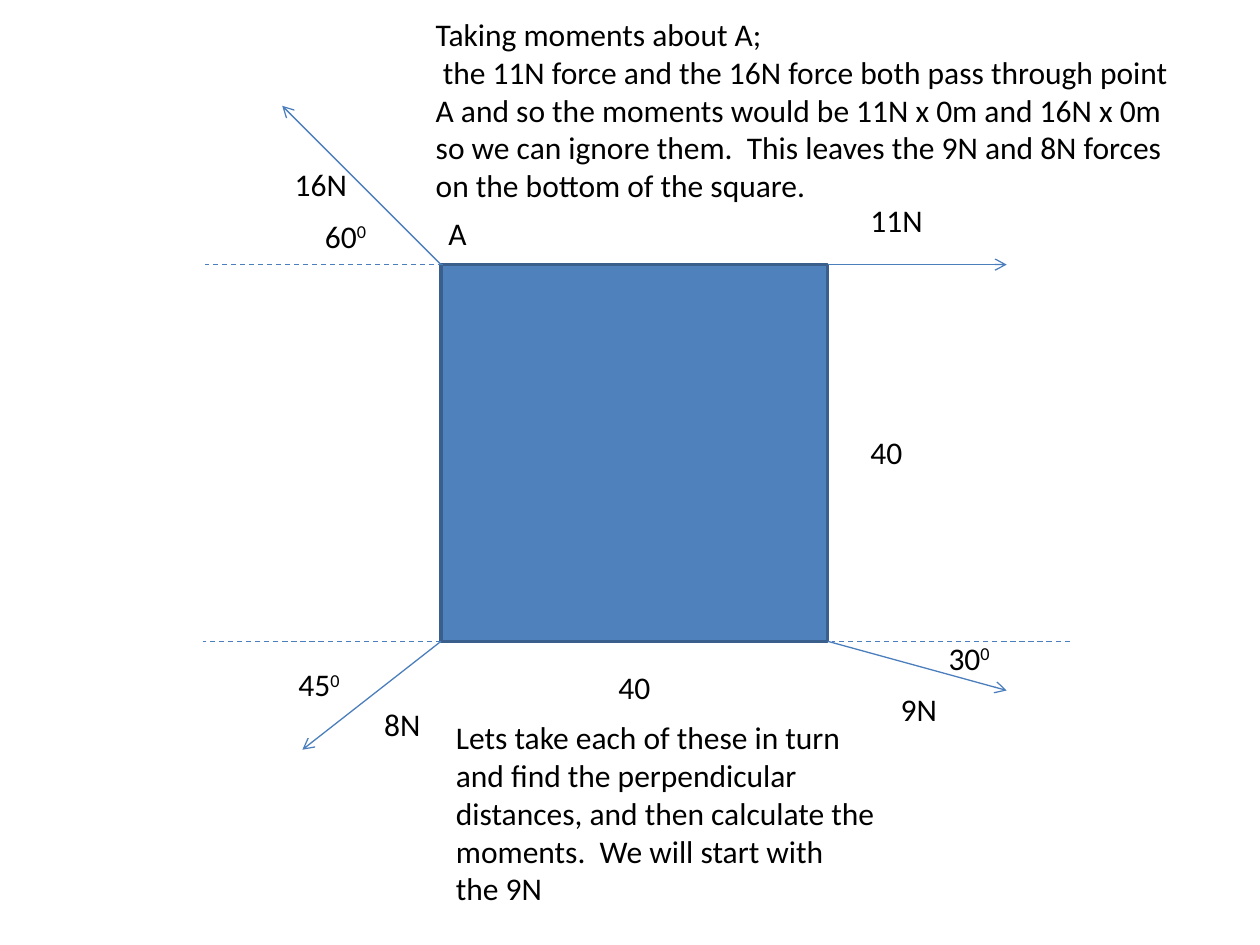
from lxml import etree
from pptx import Presentation
from pptx.dml.color import RGBColor
from pptx.enum.dml import MSO_LINE
from pptx.enum.shapes import MSO_CONNECTOR, MSO_SHAPE
from pptx.enum.text import MSO_AUTO_SIZE
from pptx.oxml.ns import qn
from pptx.util import Inches, Pt

STRAIGHT = MSO_CONNECTOR.STRAIGHT
RECT = MSO_SHAPE.RECTANGLE
DASH = MSO_LINE.DASH
GROW = MSO_AUTO_SIZE.SHAPE_TO_FIT_TEXT

BLACK = RGBColor(0x00, 0x00, 0x00)
SQUARE_FILL = RGBColor(0x4F, 0x81, 0xBD)
SQUARE_LINE = RGBColor(0x3A, 0x5F, 0x8C)
FORCE_LINE = RGBColor(0x4B, 0x7E, 0xBC)

LABEL_H = 0.4
ANGLE_W = 0.6


def add_text(s, x, y, w, h, paragraphs, wrap=False):
    """Add a text box; each paragraph is a list of (text, superscript) runs."""
    box = s.shapes.add_textbox(Inches(x), Inches(y), Inches(w), Inches(h))
    tf = box.text_frame
    tf.word_wrap = wrap
    tf.auto_size = GROW
    for i, runs in enumerate(paragraphs):
        p = tf.paragraphs[0] if i == 0 else tf.add_paragraph()
        for text, superscript in runs:
            r = p.add_run()
            r.text = text
            r.font.name = "Calibri"
            r.font.size = Pt(18)
            r.font.color.rgb = BLACK
            if superscript:
                r._r.get_or_add_rPr().set("baseline", "30000")


def add_label(s, x, y, w, text):
    """Add a one-line label."""
    add_text(s, x, y, w, LABEL_H, [[(text, False)]])


def add_line(s, x1, y1, x2, y2, dashed=False):
    """Add a dashed reference line, or a solid line with an arrowhead at its end."""
    c = s.shapes.add_connector(STRAIGHT, Inches(x1), Inches(y1), Inches(x2), Inches(y2))
    c.line.color.rgb = FORCE_LINE
    c.line.width = Pt(0.75)
    if dashed:
        c.line.dash_style = DASH
    else:
        etree.SubElement(c.line._get_or_add_ln(), qn("a:tailEnd"), type="arrow")
    etree.SubElement(c._element.spPr, qn("a:effectLst"))


def add_square(s, x, y, w, h):
    """Draw the square with its side lengths and the name of corner A."""
    sp = s.shapes.add_shape(RECT, Inches(x), Inches(y), Inches(w), Inches(h))
    sp.shadow.inherit = False
    sp.fill.solid()
    sp.fill.fore_color.rgb = SQUARE_FILL
    sp.line.color.rgb = SQUARE_LINE
    sp.line.width = Pt(2)
    add_label(s, x + 1.31, y + h + 0.16, 0.46, "40")
    add_label(s, x + w + 0.24, y + 1.29, 0.46, "40")
    add_label(s, x - 0.04, y - 0.45, 0.35, "A")


def add_force(s, x, y, tip, name, name_at, name_w, angle=None, angle_at=None, base=None):
    """Draw a force at corner (x, y); the other positions are offsets from it."""
    add_line(s, x, y, x + tip[0], y + tip[1])
    add_label(s, x + name_at[0], y + name_at[1], name_w, name)
    if angle:
        add_line(s, x + base[0], y, x + base[1], y, dashed=True)
        add_text(s, x + angle_at[0], y + angle_at[1], ANGLE_W, LABEL_H,
                 [[(angle, False), ("0 ", True)]])


def add_notes(s, x, y, w, h, *texts):
    """Add a wrapped explanation, one paragraph for each text."""
    add_text(s, x, y, w, h, [[(text, False)] for text in texts], wrap=True)


def build_slide(prs):
    """Build the slide on moments about corner A."""
    s = prs.slides.add_slide(prs.slide_layouts[6])
    left, top, w, h = 3.5, 2.1, 3.07, 2.99
    right, bottom = left + w, top + h
    add_square(s, left, top, w, h)
    add_force(s, right, top, (1.42, 0), "11N", (0.24, -0.55), 0.62)
    add_force(s, left, bottom, (-1.1, 0.86), "8N", (-0.55, 0.46), 0.49,
              "45", (-1.23, 0.14), (0, -1.89))
    add_force(s, right, bottom, (1.42, 0.39), "9N", (0.48, 0.34), 0.49,
              "30", (0.86, -0.07), (1.92, 0.03))
    add_force(s, left, top, (-1.26, -1.26), "16N", (-1.26, -0.84), 0.62,
              "60", (-1.02, -0.43), (0.02, -1.87))
    add_notes(s, 3.36, 0.07, 6.06, 1.62,
              "Taking moments about A;",
              " the 11N force and the 16N force both pass through point A and so "
              "the moments would be 11N x 0m and 16N x 0m so we can ignore them.  "
              "This leaves the 9N and 8N forces on the bottom of the square.")
    add_notes(s, 3.52, 5.65, 3.53, 1.62,
              "Lets take each of these in turn and find the perpendicular distances, "
              "and then calculate the moments.  We will start with  the 9N")


prs = Presentation()
prs.slide_width = Inches(10)
prs.slide_height = Inches(7.5)
build_slide(prs)
prs.save("out.pptx")
